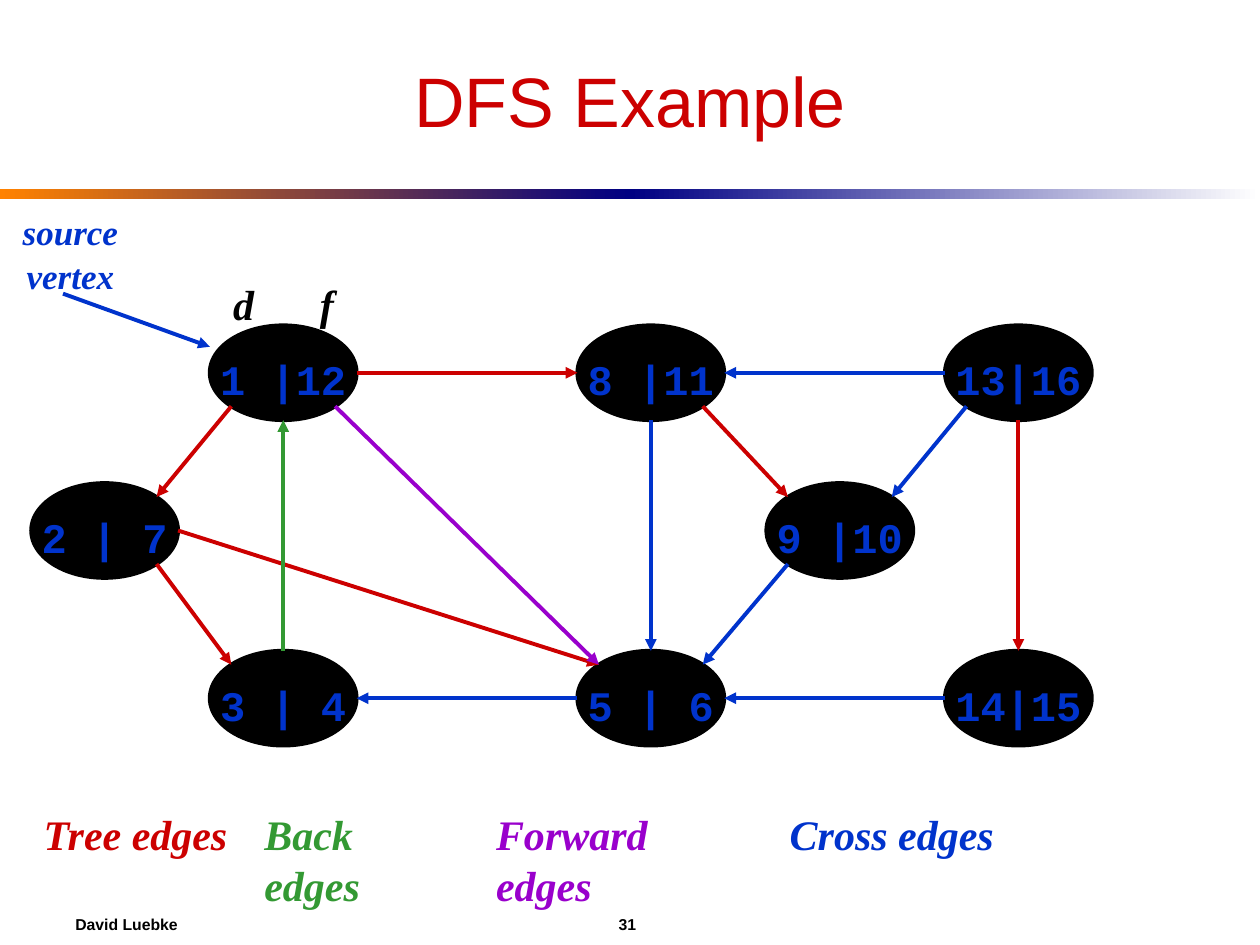
import math

import pptx
import pptx.dml.color
import pptx.enum.shapes
import pptx.enum.text
import pptx.oxml
import pptx.oxml.ns
import pptx.util
from pptx.util import Cm

COLORS = {
    "tree": "CC0000", "back": "339933", "forward": "9900CC", "cross": "0033CC",
    "black": "000000", "white": "FFFFFF", "orange": "FF8200", "navy": "000082",
}
SERIF = "Times New Roman"

# Graph layout in centimetres
NODE_WIDTH, NODE_HEIGHT = 2.96, 1.91
COLUMN_LEFT, COLUMN_STEP = 4.23, 7.41
TOP_ROW, MIDDLE_ROW, BOTTOM_ROW = 6.56, 9.74, 13.12
COLUMNS = [COLUMN_LEFT + COLUMN_STEP * index for index in range(3)]

# Node name: (discovery and finish times, left, top)
NODES = {
    "source": ("1 |12", COLUMNS[0], TOP_ROW),
    "top": ("8 |11", COLUMNS[1], TOP_ROW),
    "top_right": ("13|16", COLUMNS[2], TOP_ROW),
    "bottom_right": ("14|15", COLUMNS[2], BOTTOM_ROW),
    "bottom": ("5 | 6", COLUMNS[1], BOTTOM_ROW),
    "bottom_left": ("3 | 4", COLUMNS[0], BOTTOM_ROW),
    "left": ("2 | 7", 0.63, MIDDLE_ROW),
    "middle": ("9 |10", 15.45, MIDDLE_ROW),
}

# Connection sites of an ellipse run counterclockwise from the top
SITES = ["N", "NW", "W", "SW", "S", "SE", "E", "NE"]
EDGES = [
    ("source", "SW", "left", "NE", "tree"),
    ("left", "SE", "bottom_left", "NW", "tree"),
    ("left", "E", "bottom", "NW", "tree"),
    ("bottom", "W", "bottom_left", "E", "cross"),
    ("bottom_left", "N", "source", "S", "back"),
    ("top", "S", "bottom", "N", "cross"),
    ("source", "E", "top", "W", "tree"),
    ("top_right", "W", "top", "E", "cross"),
    ("top", "SE", "middle", "NW", "tree"),
    ("top_right", "SW", "middle", "NE", "cross"),
    ("top_right", "S", "bottom_right", "N", "tree"),
    ("bottom_right", "W", "bottom", "E", "cross"),
    ("middle", "SW", "bottom", "NE", "cross"),
    ("source", "SE", "bottom", "NW", "forward"),
]

# Legend: (text, left, width, colour)
LEGEND = [
    ("Tree edges", 0.63, 4.24, "tree"),
    ("Back edges", 5.08, 4.42, "back"),
    ("Forward edges", 9.75, 5.69, "forward"),
    ("Cross edges", 15.67, 4.62, "cross"),
]


def rgb(name):
    return pptx.dml.color.RGBColor.from_string(COLORS[name])


def format_text(text_frame, font, size, color, bold=True, italic=False, align="LEFT"):
    for paragraph in text_frame.paragraphs:
        paragraph.alignment = getattr(pptx.enum.text.PP_ALIGN, align)
        for run in paragraph.runs:
            run.font.name = font
            run.font.size = pptx.util.Pt(size)
            run.font.bold = bold
            run.font.italic = italic
            run.font.color.rgb = rgb(color)


def add_label(slide, text, left, top, width, height, font, size, color,
              italic=True, align="LEFT", tab=None):
    shape = slide.shapes.add_textbox(Cm(left), Cm(top), Cm(width), Cm(height))
    text_frame = shape.text_frame
    text_frame.word_wrap = tab is not None
    text_frame.text = text
    if tab is not None:
        properties = text_frame.paragraphs[0]._p.get_or_add_pPr()
        tabs = pptx.oxml.ns.qn("a:tabLst")
        tab_list = properties.makeelement(tabs, {})
        properties.append(tab_list)
        stop = tab_list.makeelement(pptx.oxml.ns.qn("a:tab"), {"pos": str(int(Cm(tab))), "algn": "l"})
        tab_list.append(stop)
    format_text(text_frame, font, size, color, italic=italic, align=align)
    return shape


def add_gradient_bar(slide, left, start, end):
    bar = slide.shapes.add_shape(pptx.enum.shapes.MSO_SHAPE.RECTANGLE,
                                 Cm(left), Cm(3.81), Cm(12.7), Cm(0.2))
    bar.shadow.inherit = False
    bar.line.fill.background()
    bar.fill.gradient()
    bar.fill.gradient_angle = 0
    for stop, position, color in zip(bar.fill.gradient_stops, (0, 1), (start, end)):
        stop.position = position
        stop.color.rgb = rgb(color)


def add_node(slide, text, left, top):
    node = slide.shapes.add_shape(pptx.enum.shapes.MSO_SHAPE.OVAL, Cm(left), Cm(top),
                                  Cm(NODE_WIDTH), Cm(NODE_HEIGHT))
    node.shadow.inherit = False
    node.fill.solid()
    node.fill.fore_color.rgb = rgb("black")
    node.line.color.rgb = rgb("black")
    node.line.width = pptx.util.Pt(2.25)
    text_frame = node.text_frame
    text_frame.word_wrap = False
    text_frame.vertical_anchor = pptx.enum.text.MSO_ANCHOR.MIDDLE
    text_frame.margin_top = Cm(0.38)
    text_frame.text = text
    format_text(text_frame, "Courier New", 24, "cross", align="CENTER")
    return node


def add_arrow(slide, start, end, color):
    arrow = slide.shapes.add_connector(pptx.enum.shapes.MSO_CONNECTOR.STRAIGHT, *start, *end)
    arrow.line.color.rgb = rgb(color)
    arrow.line.width = pptx.util.Pt(2.25)
    line = arrow.line._get_or_add_ln()
    line.append(line.makeelement(pptx.oxml.ns.qn("a:tailEnd"), {"type": "triangle"}))
    properties = arrow._element.spPr
    properties.append(properties.makeelement(pptx.oxml.ns.qn("a:effectLst"), {}))
    return arrow


def site_point(node, site):
    angle = math.pi / 2 + SITES.index(site) * math.pi / 4
    return (round(node.left + node.width / 2 * (1 + math.cos(angle))),
            round(node.top + node.height / 2 * (1 - math.sin(angle))))


def add_edge(slide, start_node, start_site, end_node, end_site, color):
    arrow = add_arrow(slide, site_point(start_node, start_site),
                      site_point(end_node, end_site), color)
    # Ellipses have eight sites, so the joins are written directly
    joins = arrow._element.nvCxnSpPr.cNvCxnSpPr
    for tag, node, site in (("a:stCxn", start_node, start_site),
                            ("a:endCxn", end_node, end_site)):
        joins.append(joins.makeelement(pptx.oxml.ns.qn(tag), {
            "id": str(node.shape_id), "idx": str(SITES.index(site))}))


def add_title(slide, text):
    title = slide.shapes.title
    title.left, title.top, title.width, title.height = Cm(1.27), Cm(0.64), Cm(22.86), Cm(2.74)
    title.text_frame.text = text
    title.text_frame.vertical_anchor = pptx.enum.text.MSO_ANCHOR.MIDDLE
    format_text(title.text_frame, "Arial", 40, "tree", bold=False, align="CENTER")


def main():
    presentation = pptx.Presentation()
    presentation.slide_width, presentation.slide_height = Cm(25.4), Cm(19.05)
    slide = presentation.slides.add_slide(presentation.slide_layouts[5])

    # Heading and rule
    add_gradient_bar(slide, 0, "orange", "navy")
    add_gradient_bar(slide, 12.7, "navy", "white")
    add_title(slide, "DFS Example")

    # Graph
    nodes = {name: add_node(slide, *values) for name, values in NODES.items()}
    for start, start_site, end, end_site, color in EDGES:
        add_edge(slide, nodes[start], start_site, nodes[end], end_site, color)

    # Source vertex and time labels
    add_arrow(slide, (Cm(1.27), Cm(5.92)), (Cm(4.23), Cm(6.99)), "cross")
    source = add_label(slide, "source\nvertex", 0.2, 4.08, 2.44, 1.96, SERIF, 20,
                       "cross", align="CENTER")
    for paragraph in source.text_frame.paragraphs:
        paragraph.line_spacing = 1.05
    add_label(slide, "d\tf", 4.45, 5.48, 2.96, 1.27, SERIF, 24, "black", tab=1.75)

    # Legend and footer
    for text, left, width, color in LEGEND:
        add_label(slide, text, left, 16.18, width, 1.27, SERIF, 24, color)
    footer = add_label(slide, "David Luebke\t31", 1.27, 18.21, 22.86, 0.84, "Arial", 9,
                       "black", italic=False, tab=10.95)
    footer.text_frame.vertical_anchor = pptx.enum.text.MSO_ANCHOR.MIDDLE

    presentation.save("out.pptx")


if __name__ == "__main__":
    main()
